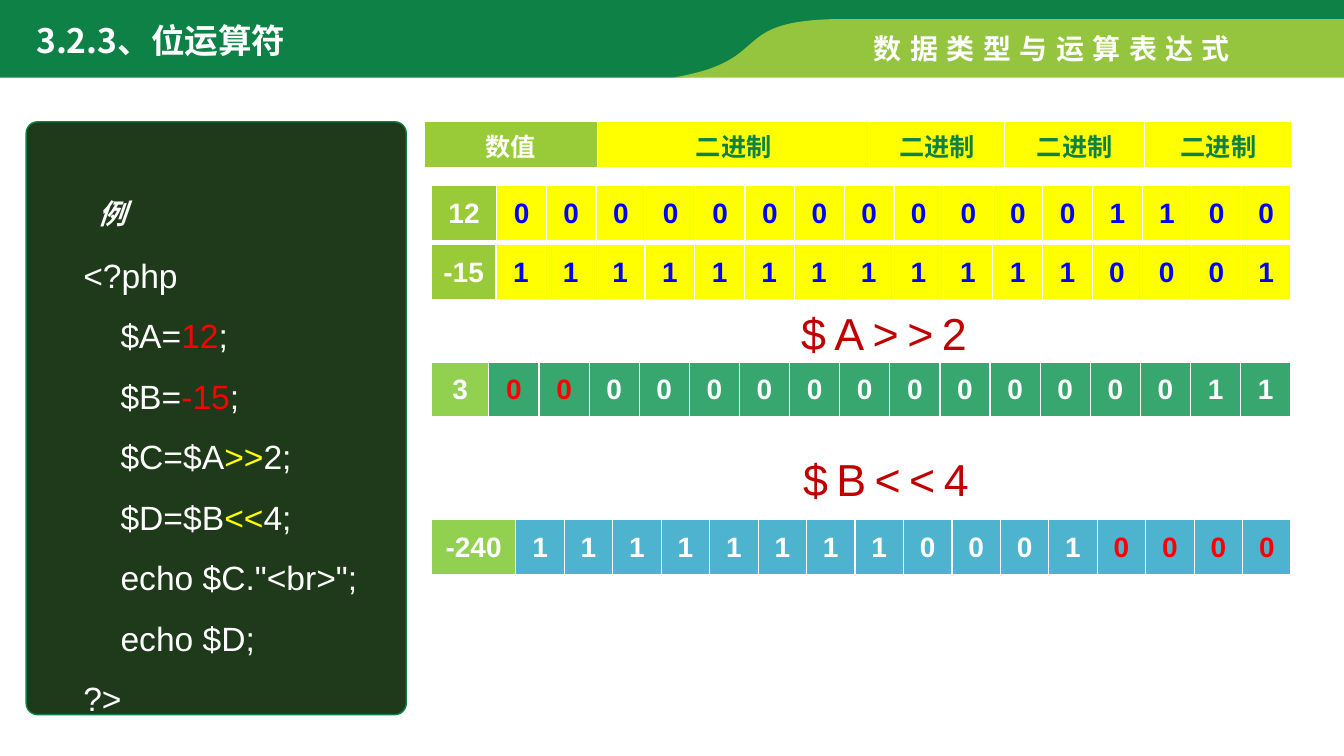
"""Build the slide on PHP bit shift operators."""
import pptx
import pptx.dml.color
import pptx.enum.shapes
import pptx.enum.text
import pptx.oxml
import pptx.oxml.ns
import pptx.util

Cm = pptx.util.Cm
Pt = pptx.util.Pt
CENTER = pptx.enum.text.PP_ALIGN.CENTER
MIDDLE = pptx.enum.text.MSO_ANCHOR.MIDDLE
WHITE, RED, BLUE, YELLOW = "FFFFFF", "FF0000", "0000FF", "FFFF00"
GREEN, LIME, LEAF, CRIMSON = "0E8146", "99CB38", "92D050", "C00000"
CJK_FONT = "Noto Sans CJK SC"


def color(value):
    return pptx.dml.color.RGBColor.from_string(value)


def write(para, text, size=24, fill=WHITE, font="Arial", bold=False, italic=False, spacing=0):
    span = para.add_run()
    span.text = text
    span.font.size = Pt(size)
    span.font.bold = bold
    span.font.italic = italic
    span.font.color.rgb = color(fill)
    span.font.name = font
    props = span._r.get_or_add_rPr()
    props.set("spc", str(spacing * 100))
    east_asian = pptx.oxml.parse_xml(f'<a:ea {pptx.oxml.ns.nsdecls("a")} typeface="{CJK_FONT}"/>')
    props.find(pptx.oxml.ns.qn("a:latin")).addnext(east_asian)


deck = pptx.Presentation()
deck.slide_width, deck.slide_height = Cm(33.87), Cm(19.05)
page = deck.slides.add_slide(deck.slide_layouts[5])

banners = [
    (GREEN, [(0, -0.08), (33.87, -0.08), (33.87, 0.61), (21.01, 0.61)],
     [(20.55, 0.71), (18.47, 1.12), (19.56, 1.96), (16.64, 1.96)], [(0, 1.96)]),
    ("95C53E", [(33.87, 0.48), (33.87, 1.96)],
     [(16.94, 1.96), (19.63, 1.52), (18.21, 0.48), (21.31, 0.48)], []),
]
STEPS = 40
for fill, before, controls, after in banners:
    curve = []
    for step in range(STEPS + 1):
        t = step / STEPS
        weights = [(1 - t) ** 3, 3 * t * (1 - t) ** 2, 3 * t ** 2 * (1 - t), t ** 3]
        curve.append([sum(w * point[axis] for w, point in zip(weights, controls)) for axis in (0, 1)])
    outline = [(Cm(x), Cm(y)) for x, y in before + curve + after]
    builder = page.shapes.build_freeform(*outline[0])
    builder.add_line_segments(outline[1:], close=True)
    banner = builder.convert_to_shape()
    banner.shadow.inherit = False
    banner.fill.solid()
    banner.fill.fore_color.rgb = color(fill)
    banner.line.fill.background()

title = page.shapes.title
title.element.getparent().append(title.element)
title.left, title.top, title.width, title.height = Cm(0.66), Cm(0.38), Cm(9.58), Cm(1.27)
title.text_frame.vertical_anchor = pptx.enum.text.MSO_ANCHOR.TOP
title.text_frame.paragraphs[0].alignment = pptx.enum.text.PP_ALIGN.LEFT
write(title.text_frame.paragraphs[0], "3.2.3、位运算符", font=CJK_FONT, bold=True)

panel = page.shapes.add_shape(pptx.enum.shapes.MSO_SHAPE.ROUNDED_RECTANGLE,
                              Cm(0.66), Cm(3.07), Cm(9.58), Cm(14.94))
panel.adjustments[0] = 0.03
panel.shadow.inherit = False
panel.fill.solid()
panel.fill.fore_color.rgb = color("1E3A1A")
panel.line.color.rgb = color(GREEN)
panel.line.width = Pt(1)

labels = [
    ("数据类型与运算表达式", (21.77, 0.66, 9.78, 1.12), False, dict(size=20, bold=True)),
    ("例", (2.24, 4.83, 0.61, 1.27), True, dict(size=20, bold=True, italic=True)),
    ("$A>>2", (19.94, 7.57, 6.63, 1.63), True, dict(size=32, fill=CRIMSON)),
    ("$B<<4", (19.99, 11.25, 4.95, 1.63), False, dict(size=32, fill=CRIMSON)),
]
for text, place, wrap, style in labels:
    box = page.shapes.add_textbox(*map(Cm, place))
    box.text_frame.word_wrap = wrap
    para = box.text_frame.paragraphs[0]
    if text == "例":
        para.alignment = CENTER
    write(para, text, spacing=6, **style)

code_lines = [
    [("<?php", WHITE)],
    [("    $A=", WHITE), ("12", RED), (";", WHITE)],
    [("    $B=", WHITE), ("-15", RED), (";", WHITE)],
    [("    $C=$A", WHITE), (">>", YELLOW), ("2;", WHITE)],
    [("    $D=$B", WHITE), ("<<", YELLOW), ("4;", WHITE)],
    [('    echo $C."<br>";', WHITE)],
    [("    echo $D;", WHITE)],
    [("?>", WHITE)],
]
code = page.shapes.add_textbox(Cm(1.85), Cm(5.79), Cm(8), Cm(12.57)).text_frame
code.word_wrap = True
for number, line in enumerate(code_lines):
    para = code.add_paragraph() if number else code.paragraphs[0]
    para.line_spacing = 1.5
    for text, fill in line:
        write(para, text, fill=fill)

ROW_WIDTH, BITS = 21.67, 16
header = ["数值"] + ["二进制"] * 4
tables = [(10.69, 3.07, 1.19, [4.37, 6.86, 3.4, 3.53, 3.71], 18,
           header, LIME, YELLOW, [GREEN] * 4)]
bit_rows = [
    (4.67, 1.65, "12", "0000000000001100", LIME, YELLOW, [BLUE] * BITS),
    (6.15, 1.63, "-15", "1111111111110001", LIME, YELLOW, [BLUE] * BITS),
    (9.12, 1.45, "3", "0000000000000011", LEAF, "37A76F", [RED] * 2 + [WHITE] * 14),
    (13.08, 2.13, "-240", "1111111100010000", LEAF, "4EB3CF", [WHITE] * 12 + [RED] * 4),
]
for top, label_width, number, bits, label_fill, bit_fill, inks in bit_rows:
    widths = [label_width] + [(ROW_WIDTH - label_width) / BITS] * BITS
    tables.append((10.87, top, 1.42, widths, 20, [number, *bits], label_fill, bit_fill, inks))

for left, top, height, widths, size, texts, label_fill, value_fill, inks in tables:
    table = page.shapes.add_table(1, len(widths), Cm(left), Cm(top),
                                  Cm(sum(widths)), Cm(height)).table
    fills = [label_fill] + [value_fill] * len(inks)
    for column, (width, text, fill, ink) in enumerate(zip(widths, texts, fills, [WHITE] + inks)):
        table.columns[column].width = Cm(width)
        cell = table.cell(0, column)
        props = cell._tc.get_or_add_tcPr()
        for side, points in (("L", 1), ("R", 1), ("T", 1), ("B", 3)):
            props.append(pptx.oxml.parse_xml(
                f'<a:ln{side} {pptx.oxml.ns.nsdecls("a")} w="{Pt(points)}"><a:solidFill>'
                f'<a:srgbClr val="{WHITE}"/></a:solidFill></a:ln{side}>'))
        cell.fill.solid()
        cell.fill.fore_color.rgb = color(fill)
        cell.vertical_anchor = MIDDLE
        para = cell.text_frame.paragraphs[0]
        para.alignment = CENTER
        write(para, text, size=size, fill=ink, bold=True)

deck.save("out.pptx")
